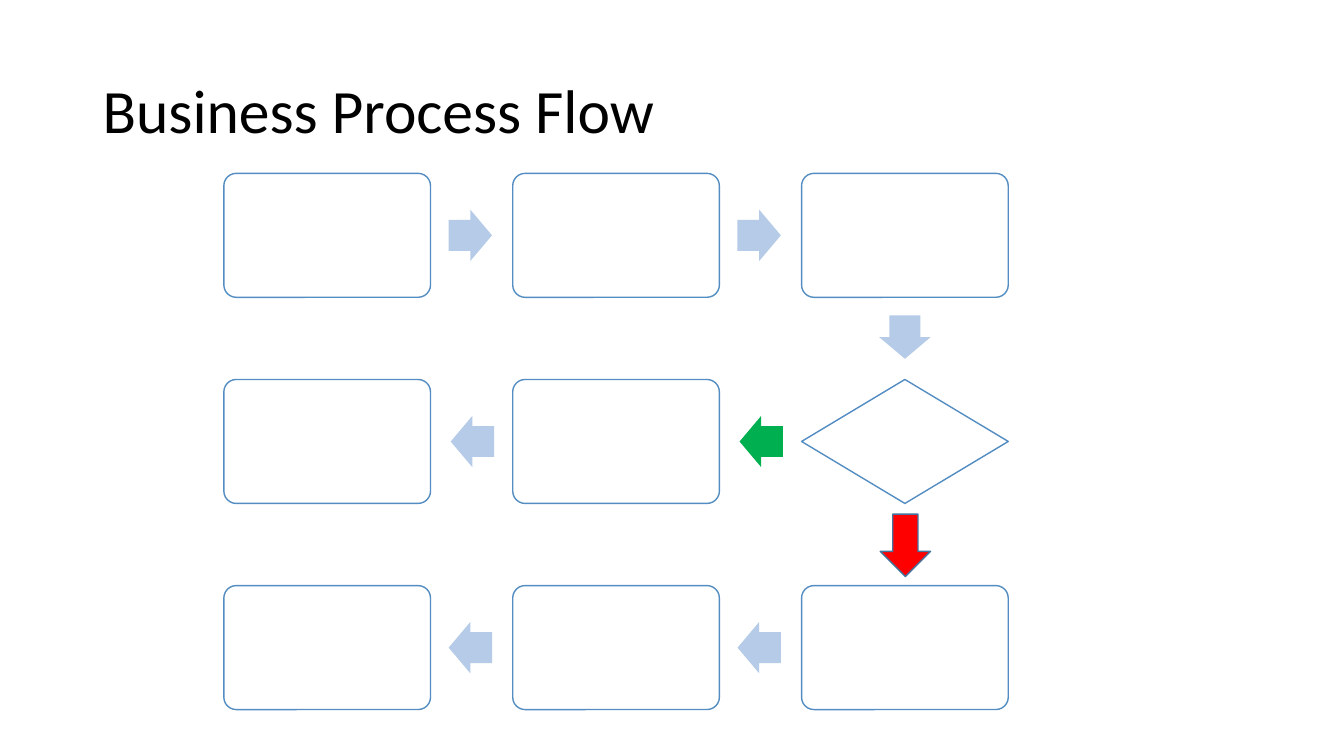
from pptx import Presentation
from pptx.dml.color import RGBColor
from pptx.enum.shapes import MSO_SHAPE
from pptx.enum.text import MSO_ANCHOR, PP_ALIGN
from pptx.util import Inches, Pt

STEP = MSO_SHAPE.ROUNDED_RECTANGLE
DECISION = MSO_SHAPE.DIAMOND
RIGHT_ARROW = MSO_SHAPE.RIGHT_ARROW
DOWN_ARROW = MSO_SHAPE.DOWN_ARROW
MIDDLE = MSO_ANCHOR.MIDDLE
LEFT = PP_ALIGN.LEFT

COLORS = {
    "box": "FFFFFF",
    "box_line": "538DC1",
    "flow": "B5CBE7",
    "yes": "00B050",
    "no": "FF0000",
    "no_line": "43739E",
    "title": "000000",
}

# Grid of steps, in inches
COLUMNS = [2.22 + 2.865 * i for i in range(3)]
ROWS = [1.72 + 2.045 * i for i in range(3)]
BOX_SIZE = (2.05, 1.23)
ARROW_SIZE = (0.43, 0.51)
ARROW_DROP = 0.36


def color(name):
    return RGBColor.from_string(COLORS[name])


def add_figure(slide, kind, position, size, fill, line=None, adjustments=()):
    figure = slide.shapes.add_shape(
        kind, *(Inches(length) for length in (*position, *size)))
    figure.shadow.inherit = False
    figure.fill.solid()
    figure.fill.fore_color.rgb = color(fill)
    if line:
        figure.line.color.rgb = color(line)
        figure.line.width = Pt(1)
    else:
        figure.line.fill.background()
    for index, value in enumerate(adjustments):
        figure.adjustments[index] = value
    return figure


def add_box(slide, column, row):
    is_decision = (column, row) == (2, 1)
    add_figure(slide, DECISION if is_decision else STEP,
               (COLUMNS[column], ROWS[row]), BOX_SIZE, "box", "box_line",
               () if is_decision else (0.1,))


def add_flow_arrow(slide, position, rotation, fill="flow"):
    arrow = add_figure(slide, RIGHT_ARROW, position, ARROW_SIZE, fill,
                       adjustments=(0.6, 0.5))
    arrow.rotation = rotation


def add_title(slide, text):
    title = slide.shapes.add_textbox(
        Inches(0.92), Inches(0.4), Inches(11.5), Inches(1.45))
    frame = title.text_frame
    frame.word_wrap = True
    frame.vertical_anchor = MIDDLE
    paragraph = frame.paragraphs[0]
    paragraph.text = text
    for name, value in {"line_spacing": 0.9, "alignment": LEFT}.items():
        setattr(paragraph, name, value)
    font = paragraph.runs[0].font
    for name, value in {"name": "Calibri", "size": Pt(44)}.items():
        setattr(font, name, value)
    font.color.rgb = color("title")


def main():
    deck = Presentation()
    deck.slide_width, deck.slide_height = Inches(13.33), Inches(7.5)
    slide = deck.slides.add_slide(deck.slide_layouts[6])

    # Steps and the decision
    for row in range(3):
        for column in range(3):
            add_box(slide, column, row)

    # Arrows along each row: the first runs right, the others run left
    for row, (rotation, offset) in enumerate([(0, 2.23), (180, 2.25), (180, 2.23)]):
        for column in range(2):
            leaves_decision = (column, row) == (1, 1)
            add_flow_arrow(slide,
                           (COLUMNS[column] + offset, ROWS[row] + ARROW_DROP),
                           rotation, "yes" if leaves_decision else "flow")

    # Arrows down into and out of the decision
    add_flow_arrow(slide, (8.76, 3.09), 90)
    add_title(slide, "Business Process Flow")
    add_figure(slide, DOWN_ARROW, (8.73, 5.1), (0.5, 0.62), "no", "no_line")

    deck.save("out.pptx")


if __name__ == "__main__":
    main()
